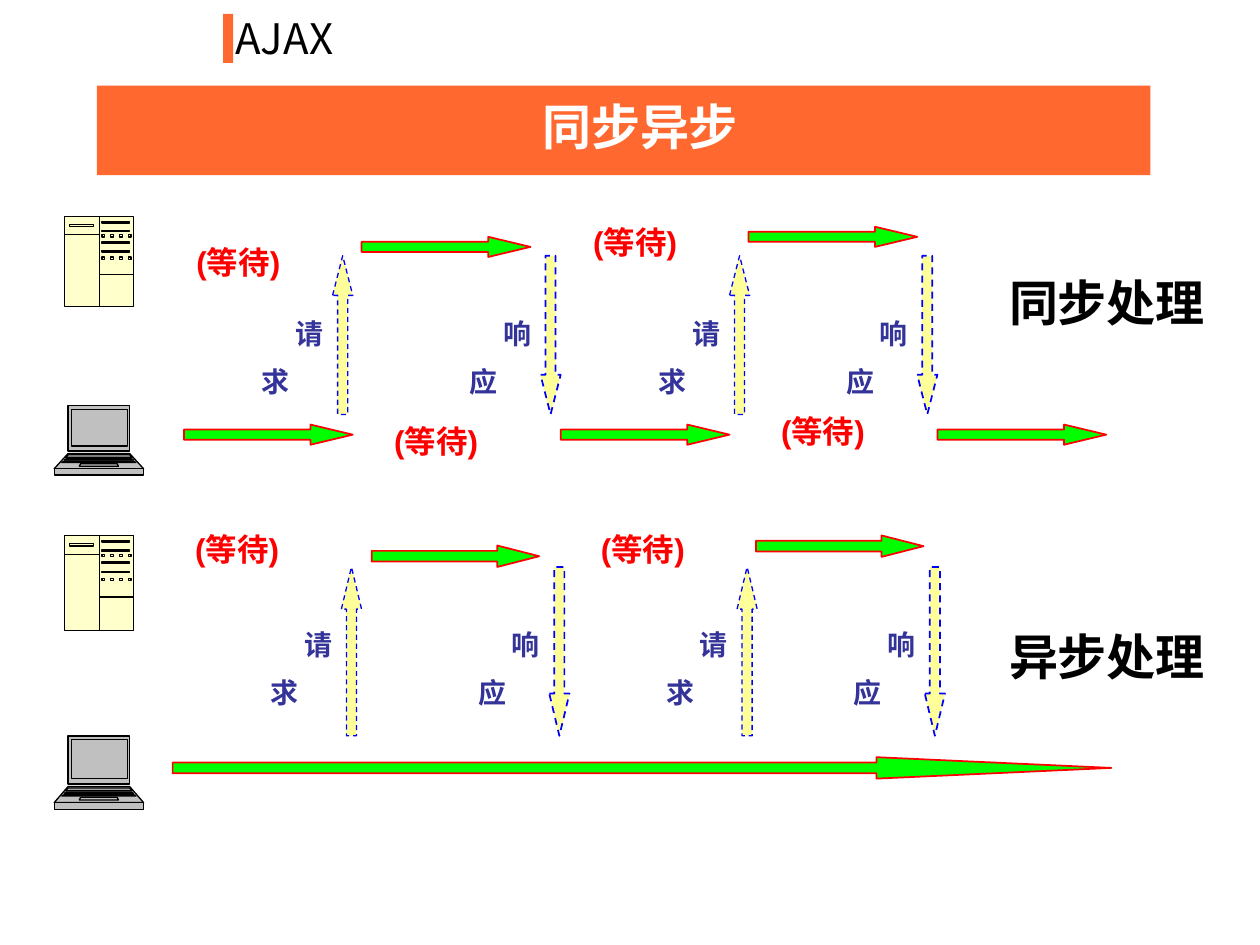
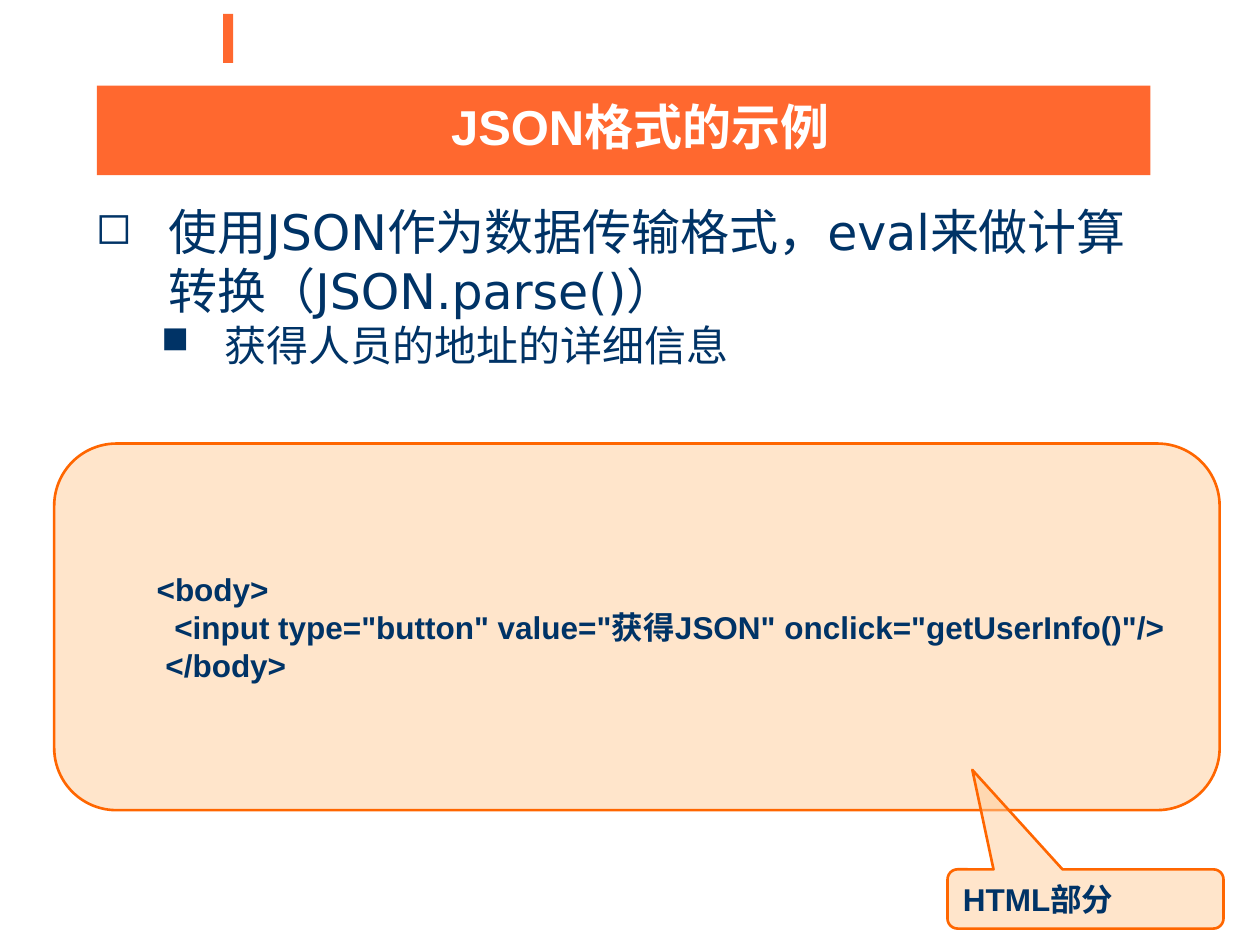
from lxml import etree
from pptx import Presentation
from pptx.dml.color import RGBColor
from pptx.enum import dml, shapes as kinds, text
from pptx.oxml import ns
from pptx.util import Inches, Pt

ORANGE = RGBColor(0xFF, 0x68, 0x2F)
BORDER_ORANGE = RGBColor(0xFF, 0x66, 0x00)
PEACH = RGBColor(0xFF, 0xCC, 0x99)
NAVY = RGBColor(0x00, 0x33, 0x66)
INDIGO = RGBColor(0x33, 0x33, 0x99)
BLUE = RGBColor(0x00, 0x00, 0xFF)
RED = RGBColor(0xFF, 0x00, 0x00)
GREEN = RGBColor(0x00, 0xFF, 0x00)
YELLOW = RGBColor(0xFF, 0xFF, 0x99)
CREAM = RGBColor(0xFF, 0xFF, 0xCC)
GRAY = RGBColor(0xC0, 0xC0, 0xC0)
BLACK = RGBColor(0, 0, 0)
WHITE = RGBColor(0xFF, 0xFF, 0xFF)

SHAPE = kinds.MSO_SHAPE
ALIGN = text.PP_ALIGN
HANGING = 0.38
HEAD_SHARE = 0.25  # arrow head length as a share of the arrow


# Basic elements
def paint(shape, fill, line=None, width=0.75, dashed=False):
    shape.shadow.inherit = False
    shape.fill.solid()
    shape.fill.fore_color.rgb = fill
    if line is None:
        shape.line.fill.background()
        return
    shape.line.color.rgb = line
    shape.line.width = Pt(width)
    if dashed:
        shape.line.dash_style = dml.MSO_LINE.DASH


def add_block(shapes, kind, box, fill, line=None, **stroke):
    shape = shapes.add_shape(kind, *map(Inches, box))
    paint(shape, fill, line, **stroke)
    return shape


def style(paragraph, size, color, font="Arial", bold=True, align=ALIGN.LEFT,
          margin=0, indent=0):
    paragraph.alignment = align
    properties = paragraph._p.get_or_add_pPr()
    properties.set("marL", str(Inches(margin)))
    properties.set("indent", str(Inches(indent)))
    paragraph.font.size = Pt(size)
    paragraph.font.name = font
    paragraph.font.bold = bold
    paragraph.font.color.rgb = color


def add_text(shapes, box, words, size, color, before=0, vertical=False, **look):
    shape = shapes.add_textbox(*map(Inches, box))
    frame = shape.text_frame
    frame.word_wrap = True
    frame.auto_size = text.MSO_AUTO_SIZE.SHAPE_TO_FIT_TEXT
    if vertical:
        frame._txBody.bodyPr.set("vert", "eaVert")
        frame.margin_left = frame.margin_right = Inches(0.05)
        frame.margin_top = frame.margin_bottom = Inches(0.1)
    paragraph = frame.paragraphs[0]
    paragraph.text = words
    paragraph.space_before = Pt(before)
    style(paragraph, size, color, **look)


def add_label(shapes, box, words, size, color, before, vertical=False):
    add_text(shapes, box, words, size, color, before, vertical,
             align=ALIGN.JUSTIFY, margin=HANGING, indent=-HANGING)


def add_bullet(paragraph, symbol):
    properties = paragraph._p.get_or_add_pPr()
    color = etree.Element(ns.qn("a:buClr"))
    etree.SubElement(color, ns.qn("a:srgbClr")).set("val", str(NAVY))
    size = etree.Element(ns.qn("a:buSzPct"))
    size.set("val", "90000")
    character = etree.Element(ns.qn("a:buChar"))
    character.set("char", symbol)
    for position, element in enumerate((color, size, character)):
        properties.insert(position, element)


# Slide furniture
def add_slide(presentation):
    slide = presentation.slides.add_slide(presentation.slide_layouts[6])
    add_block(slide.shapes, SHAPE.RECTANGLE, (1.77, 0.11, 0.08, 0.39), ORANGE)
    return slide


def add_title(slide, words):
    add_block(slide.shapes, SHAPE.RECTANGLE, (0.77, 0.68, 8.36, 0.71), ORANGE)
    add_text(slide.shapes, (1.3, 0.72, 7.56, 0.57), words, 28, WHITE,
             align=ALIGN.CENTER)


# Computer icons: outlines hold x in inches and y below the icon's top
def rectangle(left, top, right, bottom):
    return [(left, top), (right, top), (right, bottom), (left, bottom), (left, top)]


def trapezoid(top, bottom, inset, spread):
    left, right = 0.43 + inset, 1.14 - inset
    return [(left, top), (left - spread, bottom), (right + spread, bottom),
            (right, top), (left, top)]


LAPTOP = [
    rectangle(0.54, 0, 1.03, 0.36),
    trapezoid(0.38, 0.5, 0.11, 0.11),
    rectangle(0.43, 0.5, 1.14, 0.55),
    rectangle(0.57, 0.03, 1.01, 0.32),
    trapezoid(0.39, 0.41, 0.11, 0.02),
    trapezoid(0.46, 0.48, 0.21, 0.01),
    trapezoid(0.42, 0.43, 0.1, 0.02),
    trapezoid(0.44, 0.45, 0.08, 0.02),
]
SERVER = [
    rectangle(0.51, 0, 1.06, 0.71),
    [(0.51, 0.14), (0.79, 0.14), (0.79, 0.46), (1.06, 0.46)],
    rectangle(0.55, 0.06, 0.74, 0.08),
    [(0.79, 0), (0.79, 0.71)],
    *[rectangle(0.81, top, 1.03, top + 0.01) for top in (0.04, 0.11, 0.2, 0.27)],
    *[rectangle(0.81 + 0.07 * column, top, 0.83 + 0.07 * column, top + 0.02)
      for top in (0.14, 0.32) for column in range(4)],
]


def add_icon(shapes, outlines, top, stretch, fill):
    placed = [[(Inches(x), Inches(top + y * stretch)) for x, y in outline]
              for outline in outlines]
    builder = shapes.build_freeform(*placed[0][0])
    for number, points in enumerate(placed):
        if number:
            builder.move_to(*points[0])
        builder.add_line_segments(points[1:], close=False)
    shape = builder.convert_to_shape()
    # One drawing layer per outline, so that overlaps stay filled
    layers = shape._element.xpath(".//a:pathLst")[0]
    combined = layers[0]
    for step in list(combined):
        if step.tag == ns.qn("a:moveTo"):
            layer = etree.SubElement(layers, combined.tag, dict(combined.attrib))
        layer.append(step)
    layers.remove(combined)
    paint(shape, fill, BLACK)


# Timeline parts
def add_run_arrow(shapes, left, top, length, thickness):
    arrow = add_block(shapes, SHAPE.RIGHT_ARROW, (left, top, length, thickness),
                      GREEN, RED, width=1)
    arrow.adjustments[1] = HEAD_SHARE * length / thickness


def add_message(shapes, kind, words, left, top, height, line_width):
    arrow = add_block(shapes, kind, (left, top, 0.16, height), YELLOW, BLUE,
                      width=line_width, dashed=True)
    arrow.adjustments[1] = HEAD_SHARE * height / 0.16
    add_label(shapes, (left - 0.47, top + 0.41, 0.46, 0.44 * height), words,
              16, INDIGO, 10, vertical=True)


def add_timeline(slide, top, stretch, laptop_top, runs, requests, responses,
                 message_top, message_height, waits):
    shapes = slide.shapes.add_group_shape().shapes
    add_icon(shapes, LAPTOP, laptop_top, stretch, GRAY)
    add_icon(shapes, SERVER, top, stretch, CREAM)
    for run in runs:
        add_run_arrow(shapes, *run)
    for left in requests:
        add_message(shapes, SHAPE.UP_ARROW, "请求", left, message_top,
                    message_height, 0.75)
    for left in responses:
        add_message(shapes, SHAPE.DOWN_ARROW, "响应", left, message_top,
                    message_height, 1)
    for left, wait_top in waits:
        add_label(shapes, (left, wait_top, 1.02, 0.4), "(等待)", 18, RED, 11.2)


# Slides
def build_timing_slide(presentation):
    slide = add_slide(presentation)
    add_title(slide, "同步异步")
    add_text(slide.shapes, (1.77, 0.05, 2.58, 0.5), "AJAX", 24, BLACK,
             font="Noto Sans CJK SC", bold=False)
    client_runs = [(left, 3.37, 1.34, 0.16) for left in (1.46, 4.45, 7.44)]
    server_runs = [(2.87, 1.88, 1.34, 0.16), (5.94, 1.8, 1.34, 0.16)]
    add_timeline(slide, 1.72, 1, 3.22, client_runs + server_runs,
                 (2.64, 5.79), (4.29, 7.28), 2.03, 1.26,
                 [(1.46, 1.88), (3.03, 3.3), (6.1, 3.22), (4.61, 1.72)])
    add_timeline(slide, 4.25, 1.06, 5.84,
                 [(1.37, 6.01, 7.45, 0.17), (2.95, 4.33, 1.33, 0.17),
                  (6, 4.25, 1.33, 0.17)],
                 (2.71, 5.85), (4.36, 7.34), 4.5, 1.34,
                 [(1.45, 4.16), (4.67, 4.16)])
    for top, words in ((2.11, "同步处理"), (4.92, "异步处理")):
        add_label(slide.shapes, (7.91, top, 1.81, 0.57), words, 28, BLACK, 17.5)


def add_code_box(slide, kind, box, adjustments, lines):
    shape = add_block(slide.shapes, kind, box, PEACH, BORDER_ORANGE, width=1.5)
    color = shape._element.spPr.find(ns.qn("a:solidFill"))[0]
    etree.SubElement(color, ns.qn("a:alpha")).set("val", "50000")
    for number, value in enumerate(adjustments):
        shape.adjustments[number] = value
    frame = shape.text_frame
    frame.word_wrap = False
    frame.vertical_anchor = text.MSO_ANCHOR.MIDDLE
    for number, (margin, words) in enumerate(lines):
        paragraph = frame.add_paragraph() if number else frame.paragraphs[0]
        paragraph.text = words
        style(paragraph, 18, NAVY, margin=margin)


def build_json_slide(presentation):
    slide = add_slide(presentation)
    add_code_box(slide, SHAPE.ROUNDED_RECTANGLE, (0.43, 3.52, 9.25, 2.91), [0.17], [
        (0.57, "<body>"),
        (0.71, '<input type="button" value="获得JSON" onclick="getUserInfo()"/>'),
        (0.64, "</body>"),
    ])
    add_code_box(slide, SHAPE.ROUNDED_RECTANGULAR_CALLOUT, (7.52, 6.9, 2.19, 0.47),
                 [-0.41, -2.18, 0.17], [(0, "HTML部分")])
    body = slide.shapes.add_textbox(*map(Inches, (0.66, 1.55, 8.58, 1.34)))
    frame = body.text_frame
    frame.word_wrap = True
    points = [
        ("使用JSON作为数据传输格式，eval来做计算转换（JSON.parse()）", "◻", 28, 0.58, 0.58),
        ("获得人员的地址的详细信息", "■", 24, 1.02, 0.5),
    ]
    for level, (words, symbol, size, margin, hanging) in enumerate(points):
        paragraph = frame.add_paragraph() if level else frame.paragraphs[0]
        paragraph.text = words
        paragraph.level = level
        add_bullet(paragraph, symbol)
        style(paragraph, size, NAVY, font="DejaVu Sans", bold=False,
              margin=margin, indent=-hanging)
    add_title(slide, "JSON格式的示例")


def main():
    presentation = Presentation()
    presentation.slide_width = Inches(10)
    presentation.slide_height = Inches(7.5)
    build_timing_slide(presentation)
    build_json_slide(presentation)
    presentation.save("out.pptx")


if __name__ == "__main__":
    main()
